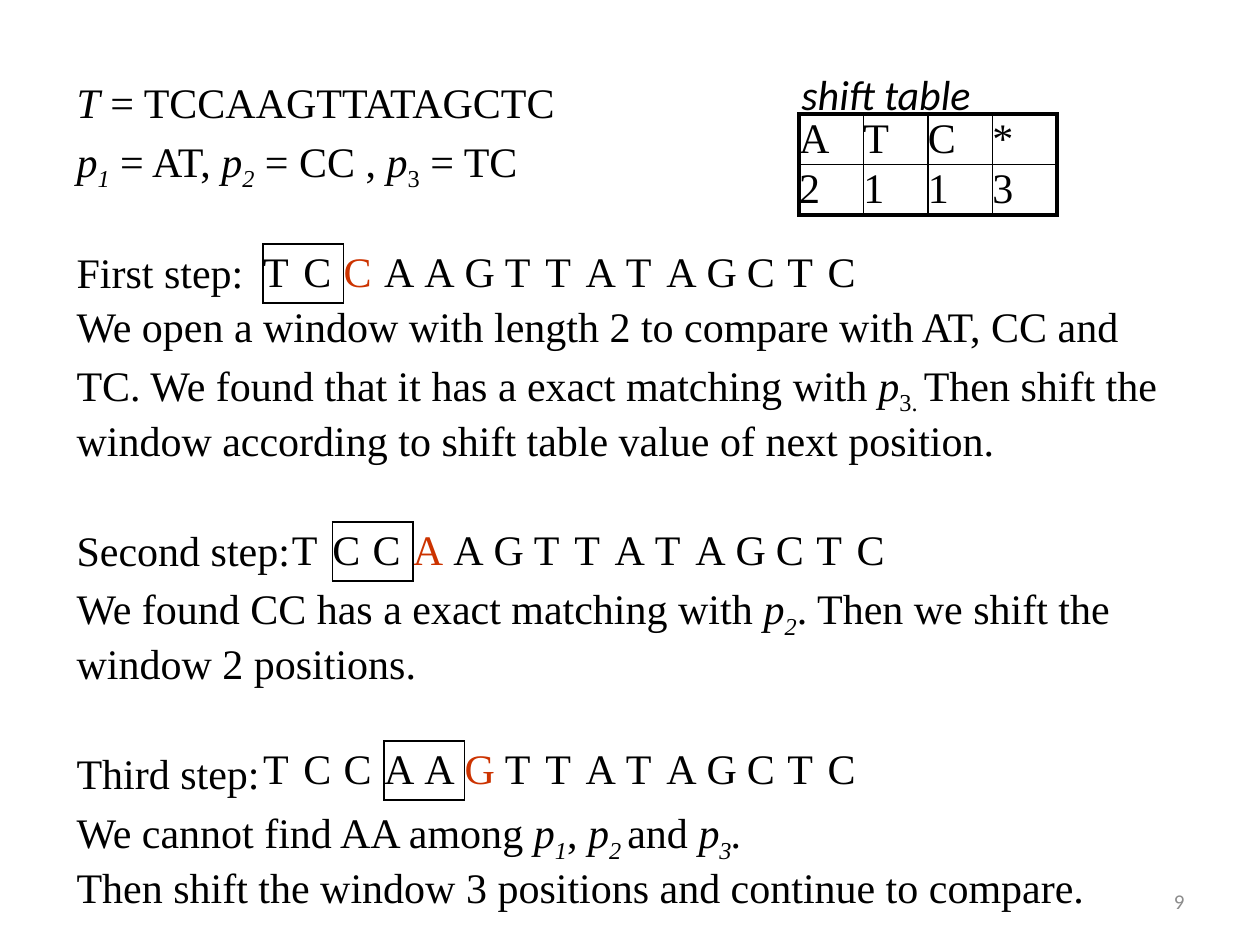
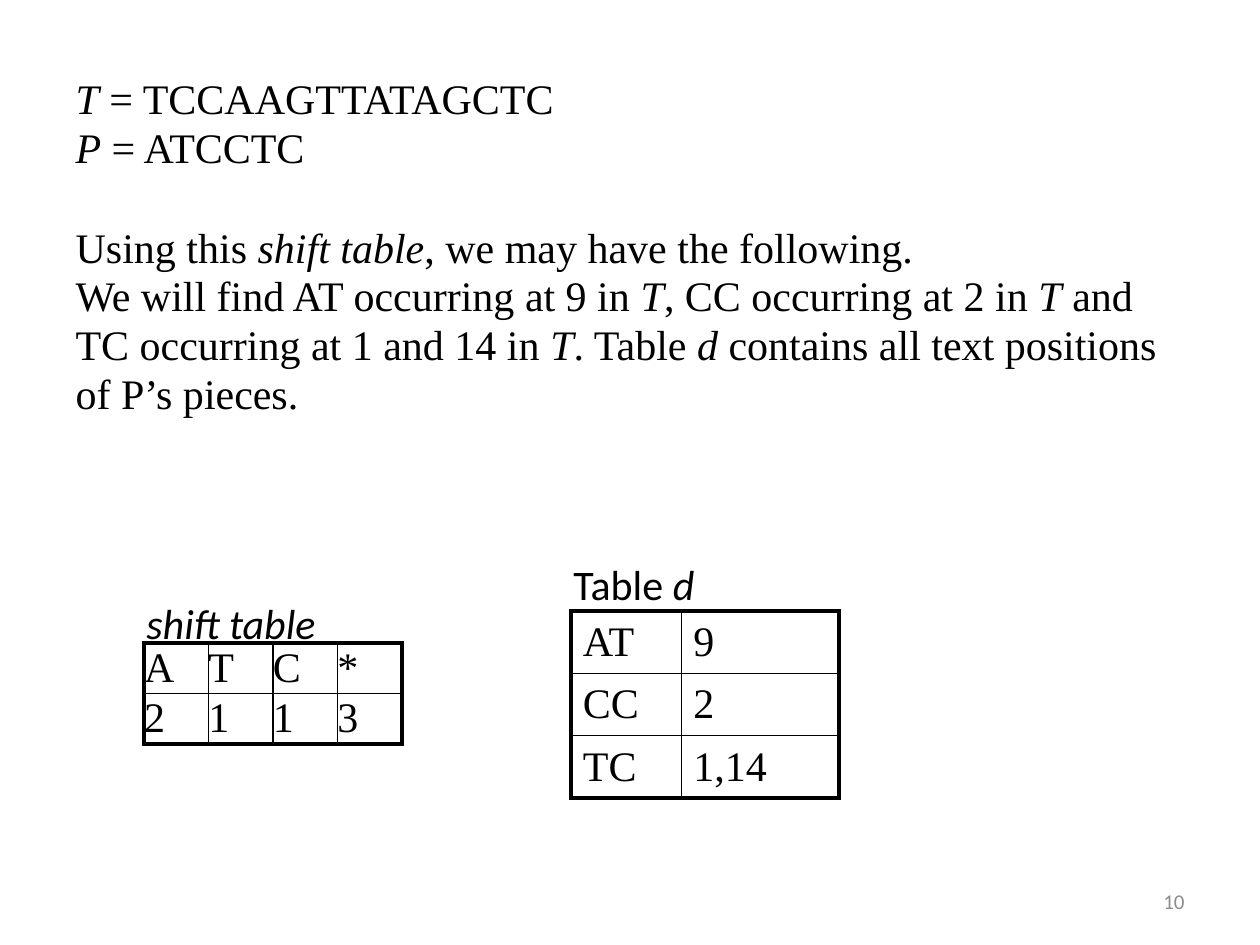
from lxml import etree
from pptx import Presentation
from pptx.dml.color import RGBColor
from pptx.enum.text import MSO_ANCHOR, MSO_AUTO_SIZE, PP_ALIGN
from pptx.oxml.ns import qn
from pptx.util import Emu, Pt

MIDDLE, TOP = MSO_ANCHOR.MIDDLE, MSO_ANCHOR.TOP
LEFT, RIGHT = PP_ALIGN.LEFT, PP_ALIGN.RIGHT
NO_FIT = MSO_AUTO_SIZE.NONE

SERIF, SANS = "Times New Roman", "Calibri"
BLACK, RED, GREY = "000000", "CC3300", "8C8C8C"
THICK, THIN = 2.25, 1
WINDOW = 2
SEQUENCE = "TCCAAGTTATAGCTC"
SHIFT_TABLE = ["ATC*", "2113"]


def px(n):
    return Emu(round(n * 914400 / 126))


def rgb(code):
    return RGBColor.from_string(code)


def set_all(target, values):
    for name, value in values.items():
        setattr(target, name, value)


def italic(text):
    return text, "i"


def sub(text):
    return text, "_"


def italic_sub(text):
    return text, "i_"


class Deck:
    def __init__(self):
        self.prs = Presentation()
        set_all(self.prs, {"slide_width": px(1260), "slide_height": px(945)})
        self.s = None

    def slide(self, number):
        self.s = self.prs.slides.add_slide(self.prs.slide_layouts[1])
        title = self.s.shapes.title.element
        title.getparent().remove(title)
        self.text(903, 876, 294, 50, [str(number)], size=12, color=GREY,
                  align=RIGHT, anchor=MIDDLE)

    def runs(self, p, parts, font=SERIF, size=24, color=BLACK):
        """Add runs; a part is a string or a (text, style) pair."""
        for part in parts:
            text, style = (part, "") if isinstance(part, str) else part
            r = p.add_run()
            r.text = text
            set_all(r.font, {"name": font, "size": Pt(size),
                             "italic": "i" in style})
            r.font.color.rgb = rgb(color)
            if "_" in style:
                r._r.get_or_add_rPr().set("baseline", "-25000")

    def text(self, x, y, w, h, parts, size=24, color=BLACK, align=LEFT,
             anchor=TOP):
        tf = self.s.shapes.add_textbox(px(x), px(y), px(w), px(h)).text_frame
        set_all(tf, {"word_wrap": True, "vertical_anchor": anchor})
        p = tf.paragraphs[0]
        p.alignment = align
        self.runs(p, parts, SANS, size, color)

    def body(self, x, y, w, h, blocks, spacing, gap):
        """Fill the body placeholder; gap is the space above later blocks."""
        sp = self.s.placeholders[1]
        set_all(sp, {"left": px(x), "top": px(y),
                     "width": px(w), "height": px(h)})
        tf = sp.text_frame
        set_all(tf, {"word_wrap": True, "auto_size": NO_FIT})
        p = None
        for block in blocks:
            for i, parts in enumerate(block):
                first = p is None
                p = tf.paragraphs[0] if first else tf.add_paragraph()
                p.line_spacing = spacing
                if i == 0 and not first:
                    p.space_before = Pt(gap)
                etree.SubElement(p._p.get_or_add_pPr(), qn("a:buNone"))
                self.runs(p, parts)

    def table(self, x, y, w, row_h, rows, borders, shares=None, margins=(0, 0),
              marked=None):
        """borders(row, col) gives the widths left, right, top, bottom."""
        shares = shares or [1] * len(rows[0])
        frame = self.s.shapes.add_table(len(rows), len(shares), px(x), px(y),
                                        px(w), px(row_h * len(rows)))
        t = frame.table
        set_all(t, {"first_row": False, "horz_banding": False})
        for col, share in zip(t.columns, shares):
            col.width = px(w * share / sum(shares))
        side, end = map(px, margins)
        for i, row in enumerate(rows):
            t.rows[i].height = px(row_h)
            for j, text in enumerate(row):
                cell = t.cell(i, j)
                set_all(cell, {"vertical_anchor": MIDDLE,
                               "margin_left": side, "margin_right": side,
                               "margin_top": end, "margin_bottom": end})
                for edge, width in zip("LRTB", borders(i, j)):
                    self.border(cell, edge, width)
                cell.fill.background()
                self.runs(cell.text_frame.paragraphs[0], [text],
                          color=RED if j == marked else BLACK)

    def border(self, cell, edge, width):
        ln = etree.SubElement(cell._tc.get_or_add_tcPr(), qn(f"a:ln{edge}"),
                              w=str(Pt(width)))
        if width:
            fill = etree.SubElement(ln, qn("a:solidFill"))
            etree.SubElement(fill, qn("a:srgbClr"), val=BLACK)
        else:
            etree.SubElement(ln, qn("a:noFill"))

    def grid(self, x, y, w, row_h, rows, shares=None, margins=(0, 0)):
        """Thin inner rules inside a thick frame."""
        last_row, last_col = len(rows) - 1, len(rows[0]) - 1

        def borders(i, j):
            outer = j == 0, j == last_col, i == 0, i == last_row
            return [THICK if is_outer else THIN for is_outer in outer]

        self.table(x, y, w, row_h, rows, borders, shares, margins)

    def sequence(self, x, y, start):
        """Letters with a framed window and the next letter in red."""
        end = start + WINDOW

        def borders(i, j):
            inside = start <= j < end
            framed = j in (start, end), j + 1 in (start, end), inside, inside
            return [THIN if is_framed else 0 for is_framed in framed]

        self.table(x, y, 605, 59, [SEQUENCE], borders, marked=end)

    def shift_table(self, x, y, row_h, label_y):
        self.grid(x, y, 258, row_h, SHIFT_TABLE)
        self.text(x - 10, label_y, 198, 63, [italic("shift table")])


def main():
    deck = Deck()
    text_line = [italic("T"), f" = {SEQUENCE}"]

    # Search steps
    deck.slide(9)
    deck.body(64, 76, 1134, 853, [
        [text_line,
         [italic("p"), italic_sub("1"), " = AT, ", italic("p"),
          italic_sub("2"), " = CC , ", italic("p"), sub("3"), " = TC"]],
        [["First step:"],
         ["We open a window with length 2 to compare with AT, CC and"],
         ["TC. We found that it has a exact matching with ", italic("p"),
          sub("3. "), "Then shift the"],
         ["window according to shift table value of next position."]],
        [["Second step:"],
         ["We found CC has a exact matching with ", italic("p"),
          italic_sub("2"), ". Then we shift the"],
         ["window 2 positions."]],
        [["Third step:"],
         ["We cannot find AA among ", italic("p"), italic_sub("1"), ", ",
          italic("p"), italic_sub("2 "), "and ", italic("p"),
          italic_sub("3"), italic(".")],
         ["Then shift the window 3 positions and continue to compare."]],
    ], spacing=0.9, gap=37)
    deck.shift_table(799, 114, 46, label_y=62)
    for x, y, start in [(263, 244, 0), (292, 522, 1), (263, 741, 3)]:
        deck.sequence(x, y, start)

    # Positions found
    deck.slide(10)
    deck.body(63, 76, 1134, 367, [
        [text_line, [italic("P"), " = ATCCTC"]],
        [["Using this ", italic("shift table"),
          ", we may have the following."],
         ["We will find AT occurring at 9 in ", italic("T"),
          ", CC occurring at 2 in ", italic("T"), " and"],
         ["TC occurring at 1 and 14 in ", italic("T"), ". Table ",
          italic("d "), "contains all text positions"],
         ["of P’s pieces."]],
    ], spacing=0.8, gap=34)
    deck.grid(571, 611, 268, 59, [["AT", "9"], ["CC", "2"], ["TC", "1,14"]],
              shares=(7, 10), margins=(12, 6))
    deck.text(561, 552, 169, 63, ["Table ", italic("d")])
    deck.shift_table(144, 643, 50, label_y=591)

    deck.prs.save("out.pptx")


if __name__ == "__main__":
    main()
